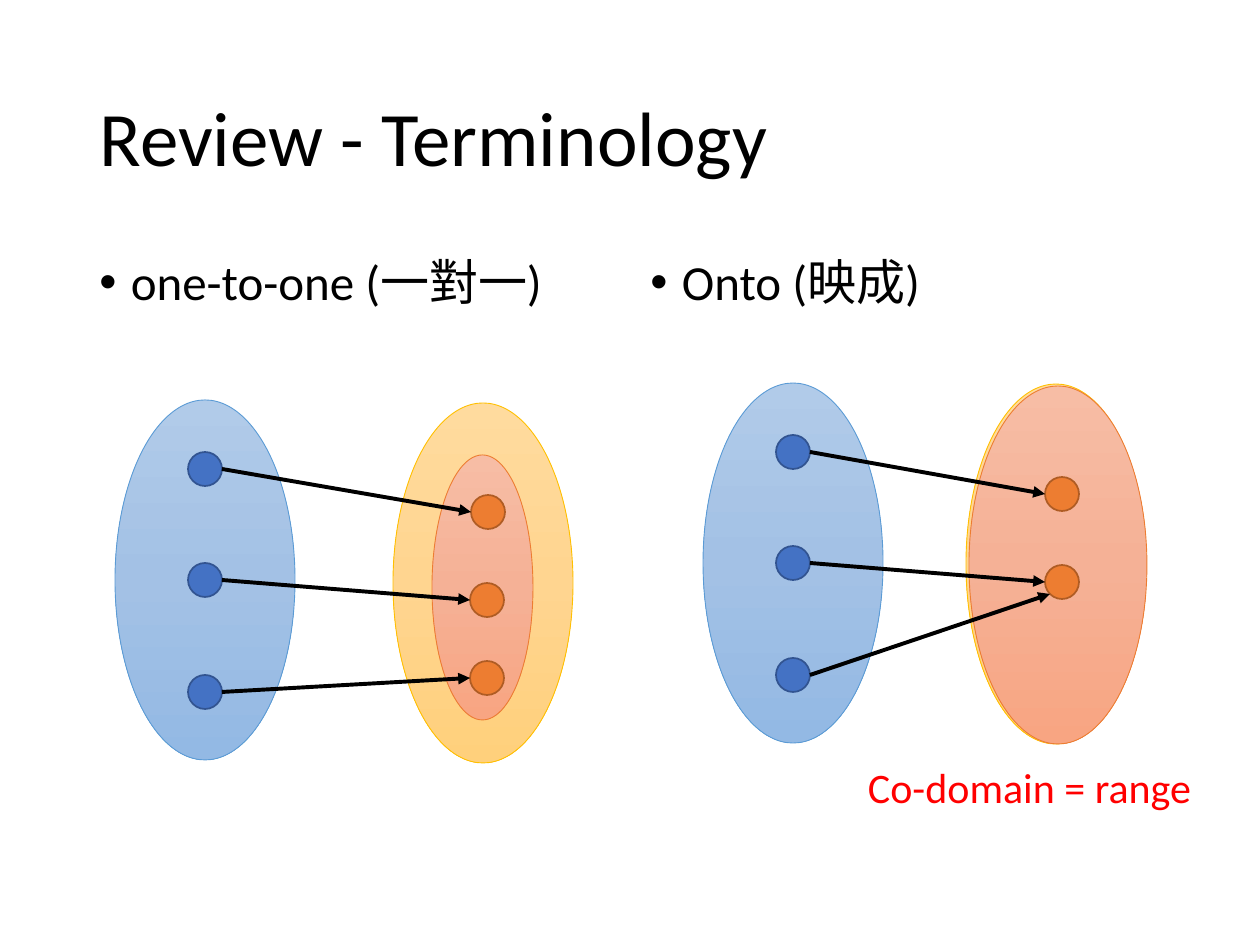
from copy import deepcopy
from dataclasses import dataclass

from lxml.etree import SubElement
from pptx import Presentation
from pptx.dml.color import RGBColor as RGB
from pptx.enum.shapes import MSO_CONNECTOR as CONN, MSO_SHAPE as SHAPE
from pptx.enum.text import MSO_ANCHOR as ANCHOR, MSO_AUTO_SIZE as FIT, PP_ALIGN as ALIGN
from pptx.oxml.ns import qn
from pptx.util import Emu, Pt


@dataclass(frozen=True)
class Theme:
    font: str = "Calibri"
    title: int = 44
    body: int = 28
    note: int = 24
    ink: str = "000000"
    accent: str = "FF0000"
    # fill (a tuple is a top-to-bottom gradient), outline, outline width
    domain: tuple = (("B1CBE9", "A3C1E5", "93B9E4"), "5B9BD5", 0.5)
    codomain: tuple = (("FFDB9E", "FFD590", "FFD07C"), "FFC000", 0.5)
    image: tuple = (("F7BDA5", "F5B196", "F8A582"), "ED7D31", 0.5)
    source_dot: tuple = ("4472C4", "325491", 1)
    target_dot: tuple = ("ED7D31", "AF5C24", 1)


T = Theme()
PX = 914400 / 126
DOT = 34
SET_W, SET_H = 180, 360


def px(*values):
    return [Emu(round(v * PX)) for v in values]


def ellipse(shapes, box, style):
    fill, outline, width = style
    sp = shapes.add_shape(SHAPE.OVAL, *px(*box))
    sp.shadow.inherit = False
    if isinstance(fill, tuple):
        sp.fill.gradient()
        sp.fill.gradient_angle = 270
        stops = sp._element.spPr.find(qn("a:gradFill")).find(qn("a:gsLst"))
        stops.append(deepcopy(stops[0]))
        for i, (stop, color) in enumerate(zip(sp.fill.gradient_stops, fill)):
            stop.position = i / 2
            stop.color.rgb = RGB.from_string(color)
    else:
        sp.fill.solid()
        sp.fill.fore_color.rgb = RGB.from_string(fill)
    sp.line.color.rgb = RGB.from_string(outline)
    sp.line.width = Pt(width)


prs = Presentation()
prs.slide_width, prs.slide_height = px(1260, 945)
s = prs.slides.add_slide(prs.slide_layouts[5])

# Text: title, one bullet per column, closing note
title = s.shapes.title
title.left, title.top, title.width, title.height = px(87, 50, 1086, 183)
title.text_frame.text = "Review - Terminology"
title.text_frame.vertical_anchor = ANCHOR.MIDDLE
texts = [(title, T.title, T.ink)]

for x, text in ((87, "one-to-one (一對一)"), (638, "Onto (映成)")):
    box = s.shapes.add_textbox(*px(x, 252, 536, 600))
    box.text_frame.word_wrap = True
    box.text_frame.text = text
    pPr = box.text_frame.paragraphs[0]._p.get_or_add_pPr()
    pPr.set("marL", "228600")
    pPr.set("indent", "-228600")
    SubElement(pPr, qn("a:buFont")).set("typeface", "Arial")
    SubElement(pPr, qn("a:buChar")).set("char", "•")
    texts.append((box, T.body, T.ink))

note = s.shapes.add_textbox(*px(868, 762, 326, 50))
tf = note.text_frame
tf.margin_left = tf.margin_top = tf.margin_right = tf.margin_bottom = 0
tf.word_wrap = False
tf.auto_size = FIT.SHAPE_TO_FIT_TEXT
tf.text = "Co-domain = range"
texts.append((note, T.note, T.accent))

for sp, size, color in texts:
    p = sp.text_frame.paragraphs[0]
    p.alignment = ALIGN.LEFT
    if sp is not note:
        p.line_spacing = 0.9
    font = p.runs[0].font
    font.name, font.size = T.font, Pt(size)
    font.color.rgb = RGB.from_string(color)

# Mappings: domain corner, co-domain corner, image box, target dots,
# and per source dot the target index and the arrow tip inside that dot's box
LEFT_TIP, LOWER_LEFT_TIP = (0, 17), (5, 29)
mappings = [
    ((115, 400), (393, 403), (432, 455, 101, 265),
     [(471, 495), (470, 583), (470, 661)],
     [(0, LEFT_TIP), (1, LEFT_TIP), (2, LEFT_TIP)]),
    ((703, 383), (966, 384), (969, 386, 178, 358),
     [(1045, 477), (1045, 565)],
     [(0, LEFT_TIP), (1, LEFT_TIP), (1, LOWER_LEFT_TIP)]),
]
for (x, y), codomain, image, targets, arrows in mappings:
    ellipse(s.shapes, (*codomain, SET_W, SET_H), T.codomain)
    ellipse(s.shapes, image, T.image)
    sources = [(x + 73, y + dy) for dy in (52, 163, 275)]
    domain = s.shapes.add_group_shape().shapes
    ellipse(domain, (x, y, SET_W, SET_H), T.domain)
    for dot in sources:
        ellipse(domain, (*dot, DOT, DOT), T.source_dot)
    for dot in targets:
        ellipse(s.shapes, (*dot, DOT, DOT), T.target_dot)

    for (sx, sy), (target, (dx, dy)) in zip(sources, arrows):
        tx, ty = targets[target]
        arrow = s.shapes.add_connector(
            CONN.STRAIGHT, *px(sx + DOT, sy + DOT / 2, tx + dx, ty + dy))
        arrow.line.color.rgb = RGB.from_string(T.ink)
        arrow.line.width = Pt(2.25)
        SubElement(arrow.line._get_or_add_ln(), qn("a:tailEnd")).set("type", "triangle")
        SubElement(arrow._element.spPr, qn("a:effectLst"))

prs.save("out.pptx")
